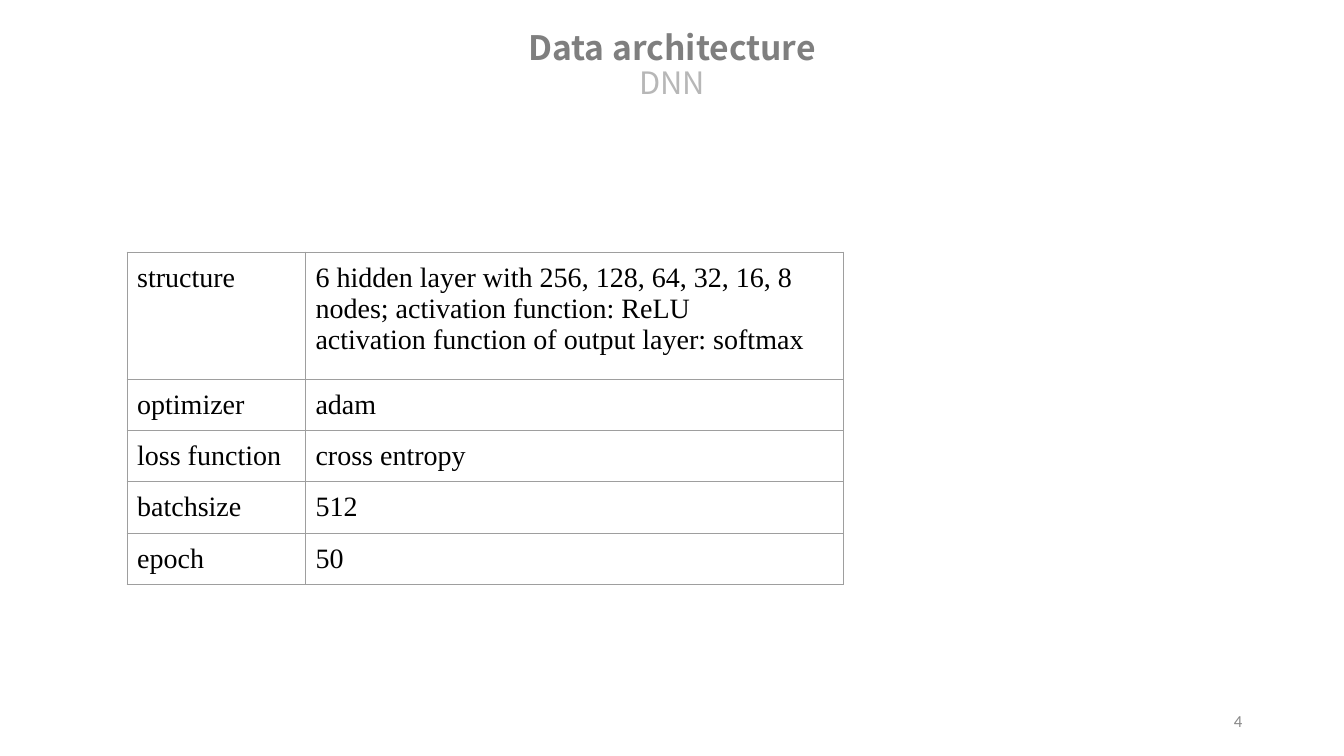
"""Build the DNN settings slide with its title, table and page number."""
import pptx
import pptx.util
import pptx.dml.color
import pptx.enum.text
import pptx.oxml
import pptx.oxml.ns

Inches, Pt = pptx.util.Inches, pptx.util.Pt
RGBColor = pptx.dml.color.RGBColor
ALIGN, ANCHOR = pptx.enum.text.PP_ALIGN, pptx.enum.text.MSO_ANCHOR
GREY = RGBColor(0x7F, 0x7F, 0x7F)
PALE = RGBColor(0xB7, 0xB7, 0xB7)
DIM = RGBColor(0x88, 0x88, 0x88)
BLACK = RGBColor(0, 0, 0)
EDGE = RGBColor(0x9E, 0x9E, 0x9E)

HEAD = {"name": "Noto Sans CJK SC", "size": Pt(24), "bold": True}
SUB = {"name": "Noto Sans CJK SC", "size": Pt(22), "bold": False}
BODY = {"name": "Times New Roman", "size": Pt(20), "bold": False}
PAGE = {"name": "Calibri", "size": Pt(12), "bold": False}


def style(para, form, color, align):
    para.alignment = align
    for key, value in form.items():
        setattr(para.font, key, value)
    para.font.color.rgb = color


def border(cell):
    props = cell._tc.get_or_add_tcPr()
    for spot, side in enumerate(("lnL", "lnR", "lnT", "lnB")):
        line = pptx.oxml.parse_xml(
            f'<a:{side} {pptx.oxml.ns.nsdecls("a")} w="{Pt(0.75)}"><a:solidFill>'
            f'<a:srgbClr val="{EDGE}"/></a:solidFill></a:{side}>')
        props.insert(spot, line)


deck = pptx.Presentation()
deck.slide_width, deck.slide_height = Inches(13.33), Inches(7.5)
slide = deck.slides.add_slide(deck.slide_layouts[5])

title = slide.shapes.title
title.left, title.top = Inches(3.62), Inches(0.26)
title.width, title.height = Inches(6.09), Inches(0.91)
frame = title.text_frame
frame.text = "Data architecture\nDNN"
frame.auto_size = pptx.enum.text.MSO_AUTO_SIZE.NONE
frame.vertical_anchor = ANCHOR.TOP
for para, form, color in zip(frame.paragraphs, (HEAD, SUB), (GREY, PALE)):
    style(para, form, color, ALIGN.CENTER)
    para.line_spacing = 0.9

rows = [
    ("structure", "6 hidden layer with 256, 128, 64, 32, 16, 8 nodes; "
     "activation function: ReLU\nactivation function of output layer: softmax"),
    ("optimizer", "adam"),
    ("loss function", "cross entropy"),
    ("batchsize", "512"),
    ("epoch", "50"),
]
widths = (1.77, 5.34)
tall, short = 1.26, 0.51
grid = slide.shapes.add_table(
    len(rows), len(widths), Inches(1.26), Inches(2.5),
    Inches(sum(widths)), Inches(tall + short * (len(rows) - 1))).table
grid.first_row = grid.horz_banding = False
for col, width in zip(grid.columns, widths):
    col.width = Inches(width)
for i, texts in enumerate(rows):
    grid.rows[i].height = Inches(short if i else tall)
    for j, text in enumerate(texts):
        cell = grid.cell(i, j)
        cell.text = text
        cell.fill.background()
        for side in ("left", "right", "top", "bottom"):
            setattr(cell, f"margin_{side}", Inches(0.1))
        border(cell)
        for para in cell.text_frame.paragraphs:
            style(para, BODY, BLACK, ALIGN.LEFT)

page = slide.shapes.add_textbox(Inches(9.42), Inches(6.95), Inches(3), Inches(0.4))
page.text_frame.word_wrap = True
page.text_frame.vertical_anchor = ANCHOR.MIDDLE
page.text_frame.text = "4"
style(page.text_frame.paragraphs[0], PAGE, DIM, ALIGN.RIGHT)

deck.save("out.pptx")
